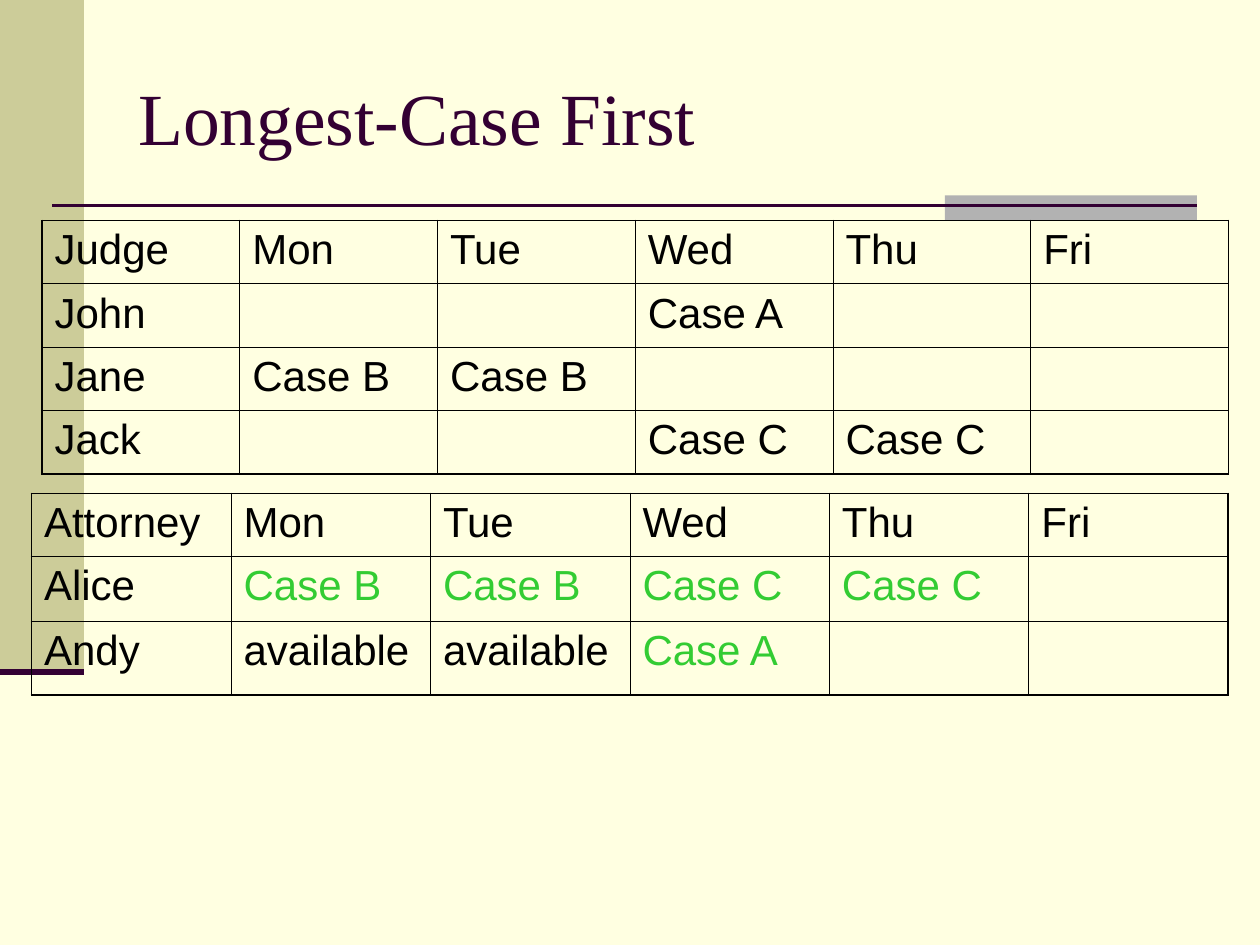
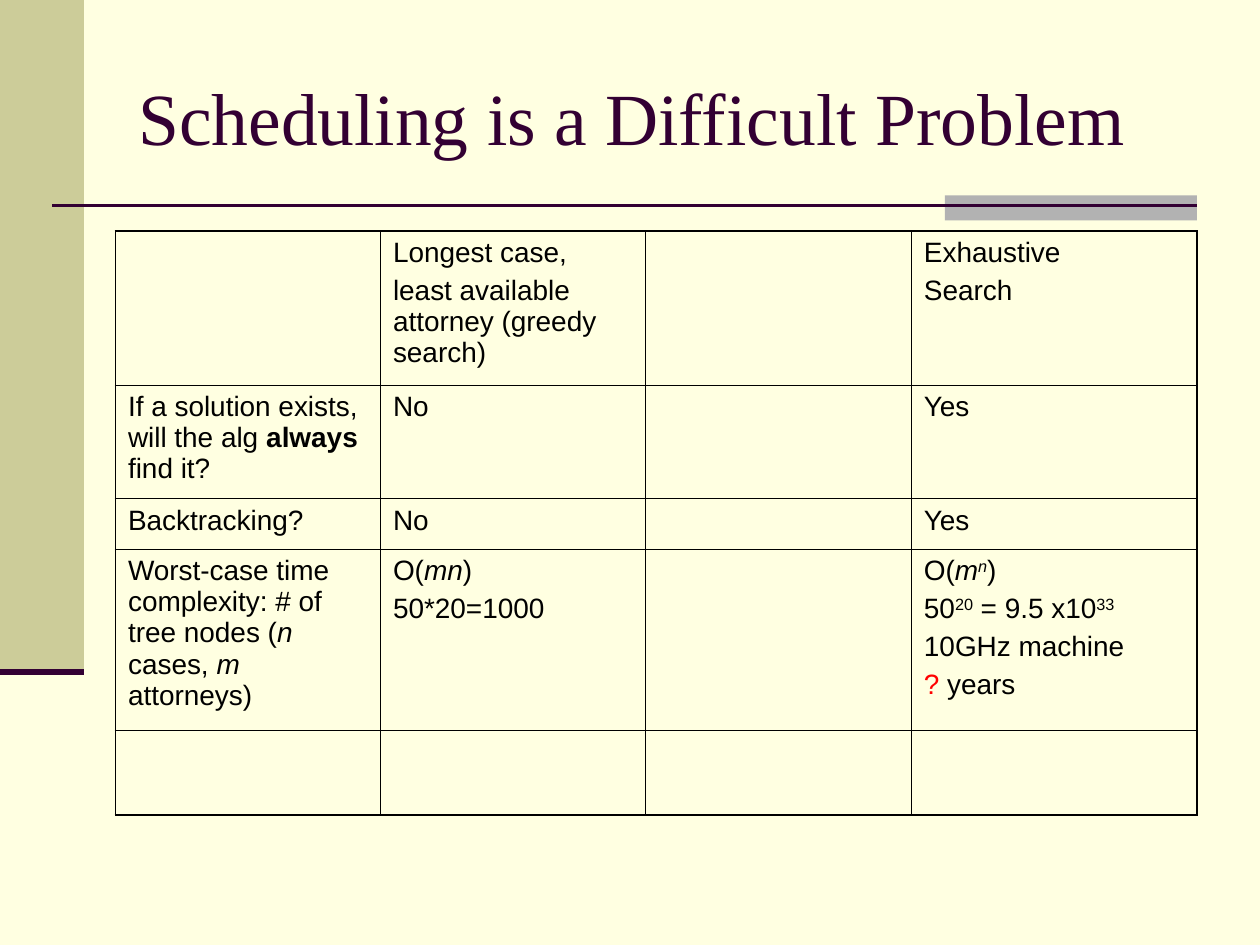
from lxml.etree import SubElement
from pptx import Presentation
from pptx.dml.color import RGBColor
from pptx.enum.shapes import MSO_CONNECTOR, MSO_SHAPE
from pptx.enum.text import MSO_ANCHOR
from pptx.oxml.ns import qn
from pptx.util import Pt

CREAM = RGBColor(0xFF, 0xFF, 0xE1)
KHAKI = RGBColor(0xCC, 0xCC, 0x99)
GREY = RGBColor(0xB2, 0xB2, 0xB2)
PLUM = RGBColor(0x33, 0x00, 0x33)
BLACK = RGBColor(0x00, 0x00, 0x00)
GREEN = RGBColor(0x33, 0xCC, 0x33)
RED = RGBColor(0xFF, 0x00, 0x00)
SERIF, SANS = "Times New Roman", "Arial"
THIN, THICK = 0.45, 1.08
WIDTH, HEIGHT = 720, 540
DAYS = ["Mon", "Tue", "Wed", "Thu", "Fri"]


def block(slide, box, color):
    shape = slide.shapes.add_shape(MSO_SHAPE.RECTANGLE, *map(Pt, box))
    shape.shadow.inherit = False
    shape.fill.solid()
    shape.fill.fore_color.rgb = color
    shape.line.fill.background()


def rule(slide, left, right, top, weight):
    line = slide.shapes.add_connector(
        MSO_CONNECTOR.STRAIGHT, Pt(left), Pt(top), Pt(right), Pt(top))
    line.line.color.rgb = PLUM
    line.line.width = Pt(weight)
    SubElement(line._element.spPr, qn("a:effectLst"))


def write(para, text, font, size, color, style=""):
    """Add one run; style holds b (bold), i (italic) and ^ (raised)."""
    run = para.add_run()
    run.text = text
    run.font.name = font
    run.font.size = Pt(size)
    run.font.color.rgb = color
    run.font.bold = "b" in style
    run.font.italic = "i" in style
    if "^" in style:
        run.font._element.set("baseline", "30000")


def frame(deck, title):
    """Add a slide with its background, bands, rules and title."""
    slide = deck.slides.add_slide(deck.slide_layouts[6])
    slide.background.fill.solid()
    slide.background.fill.fore_color.rgb = CREAM
    block(slide, (0, 0, 48, 384), KHAKI)
    block(slide, (540, 111.6, 144, 14.4), GREY)
    rule(slide, 30, 684, 117.6, 1.5)
    rule(slide, 0, 48, 384, 3.5)
    text = slide.shapes.add_textbox(Pt(72), Pt(21.6), Pt(612), Pt(90)).text_frame
    text.word_wrap = True
    text.vertical_anchor = MSO_ANCHOR.MIDDLE
    write(text.paragraphs[0], title, SERIF, 42, PLUM)
    return slide


def border(cell, widths):
    props = cell._tc.get_or_add_tcPr()
    for side, width in zip("LRTB", widths):
        line = SubElement(props, qn("a:ln" + side), w=str(Pt(width)))
        fill = SubElement(line, qn("a:solidFill"))
        SubElement(fill, qn("a:srgbClr"), val=str(BLACK))


def fill_cell(cell, paras, size, gap):
    """Write paragraphs, each a list of (text, style, color) runs."""
    cell.fill.background()
    cell.margin_left = cell.margin_right = Pt(7.2)
    cell.margin_top = cell.margin_bottom = Pt(3.6)
    for i, runs in enumerate(paras):
        para = cell.text_frame.paragraphs[0] if i == 0 else cell.text_frame.add_paragraph()
        if i:
            para.space_before = Pt(gap)
        for text, style, color in runs:
            write(para, text, SANS, size, color, style)


def grid(slide, left, top, cols, rows, cells, size, gap=0):
    """Draw a clear table with thin inner and thick outer borders."""
    table = slide.shapes.add_table(
        len(rows), len(cols), Pt(left), Pt(top), Pt(sum(cols)), Pt(sum(rows))).table
    table.first_row = table.horz_banding = False
    for col, width in zip(table.columns, cols):
        col.width = Pt(width)
    for row, height in zip(table.rows, rows):
        row.height = Pt(height)
    for r, line in enumerate(cells):
        for c, paras in enumerate(line):
            cell = table.cell(r, c)
            edges = (c == 0, c == len(cols) - 1, r == 0, r == len(rows) - 1)
            border(cell, [THICK if edge else THIN for edge in edges])
            fill_cell(cell, paras, size, gap)


def run(text, style="", color=BLACK):
    return text, style, color


def plain(*lines, color=BLACK):
    return [[run(line, color=color)] for line in lines if line]


def plan(slide, left, top, width, rows, names, hue):
    """Draw a week plan whose case entries take the given hue."""
    cells = [[plain(name, color=hue if name.startswith("Case") else BLACK)
              for name in line] for line in names]
    grid(slide, left, top, [width / 6] * 6, rows, cells, 24)


def cases(deck):
    slide = frame(deck, "Longest-Case First")
    plan(slide, 24, 126, 678, [36.2] * 4, [
        ["Judge", *DAYS],
        ["John", "", "", "Case A", "", ""],
        ["Jane", "Case B", "Case B", "", "", ""],
        ["Jack", "", "", "Case C", "Case C", ""],
    ], BLACK)
    plan(slide, 18, 282, 684, [36, 37, 42], [
        ["Attorney", *DAYS],
        ["Alice", "Case B", "Case B", "Case C", "Case C", ""],
        ["Andy", "available", "available", "Case A", "", ""],
    ], GREEN)


def search(deck):
    slide = frame(deck, "Scheduling is a Difficult Problem")
    exists = [[run("If a solution exists, will the alg "), run("always", "b"),
               run(" find it?")]]
    worst = [[run("Worst-case time complexity: # of tree nodes ("), run("n", "i"),
              run(" cases, "), run("m", "i"), run(" attorneys)")]]
    greedy = [[run("O("), run("mn", "i"), run(")")], *plain("50*20=1000")]
    full = [
        [run("O("), run("m", "i"), run("n", "i^"), run(")")],
        [run("50"), run("20", "^"), run(" = 9.5 x10"), run("33", "^")],
        *plain("10GHz machine"),
        [run("?", color=RED), run(" years")],
    ]
    no, yes = plain("No"), plain("Yes")
    grid(slide, 66, 132, [151.4, 151.4, 152, 163.2], [88, 65, 28.6, 103.4, 48.4], [
        [[], plain("Longest case,", "least available attorney (greedy search)"),
         [], plain("Exhaustive", "Search")],
        [exists, no, [], yes],
        [plain("Backtracking?"), no, [], yes],
        [worst, greedy, [], full],
        [[], [], [], []],
    ], 16, 4)


def main():
    deck = Presentation()
    deck.slide_width, deck.slide_height = Pt(WIDTH), Pt(HEIGHT)
    cases(deck)
    search(deck)
    deck.save("out.pptx")


if __name__ == "__main__":
    main()
